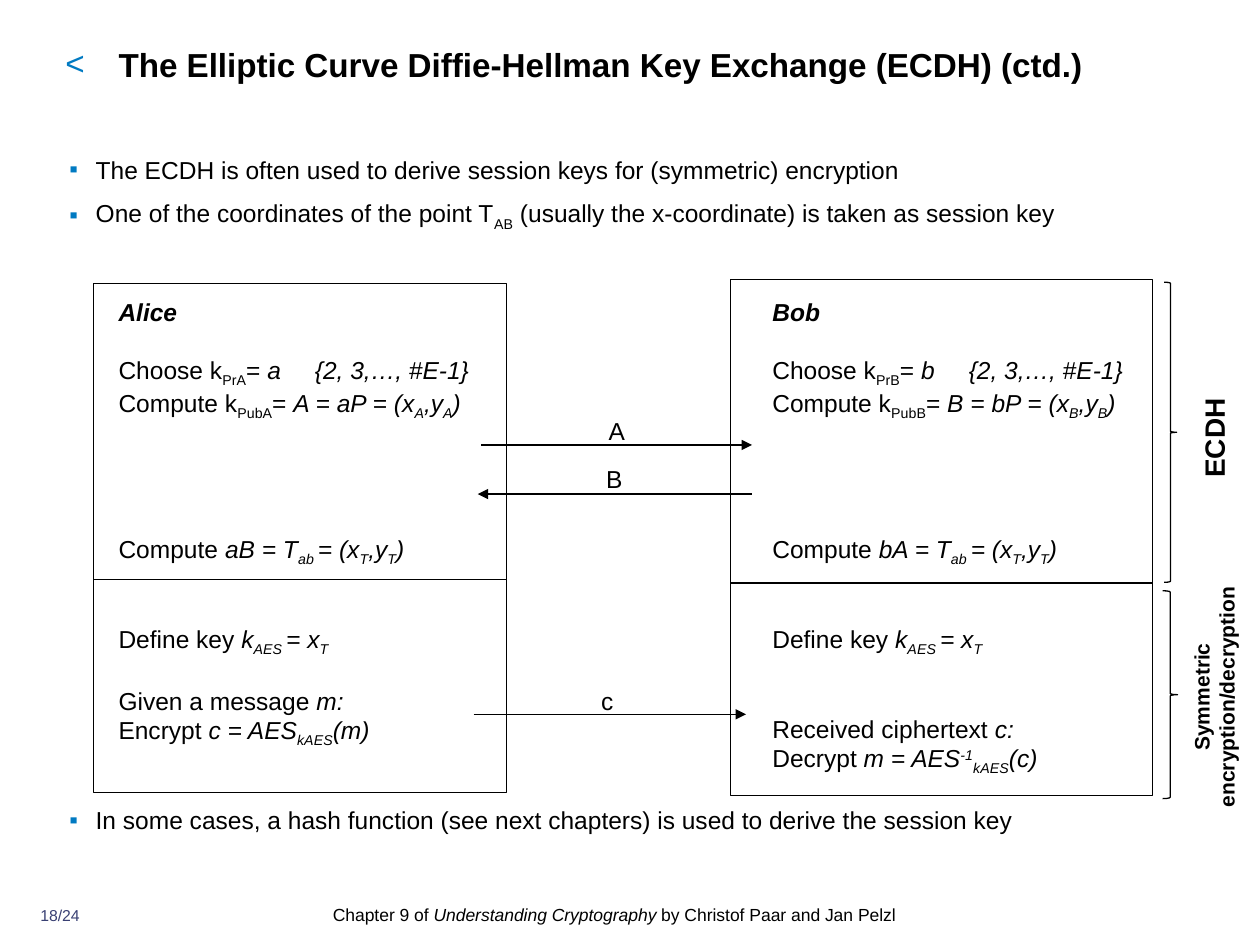
import pptx
import pptx.util
import pptx.dml.color
import pptx.enum.shapes
import pptx.enum.text
import pptx.oxml
import lxml.etree

Cm = pptx.util.Cm
Pt = pptx.util.Pt
A = "{http://schemas.openxmlformats.org/drawingml/2006/main}"
SHAPE = pptx.enum.shapes.MSO_SHAPE
CENTER = pptx.enum.text.PP_ALIGN.CENTER
BASELINE = {"_": "-25000", "^": "30000"}


def rgb(hex_color):
    return pptx.dml.color.RGBColor.from_string(hex_color)


def text(box, paras, size, color="000000", bullet=None, indent=0, rotation=0, **common):
    """Each paragraph is (format, runs); a run is (text, marks: b, i, _ sub, ^ super)."""
    sp = s.shapes.add_textbox(*[Cm(v) for v in box])
    sp.rotation = rotation
    tf = sp.text_frame
    margins = dict.fromkeys(("margin_left", "margin_top", "margin_right", "margin_bottom"), 0)
    for name, value in {**margins, "word_wrap": True}.items():
        setattr(tf, name, value)
    for n, (fmt, runs) in enumerate(paras):
        p = tf.add_paragraph() if n else tf.paragraphs[0]
        for name, value in {**common, **fmt}.items():
            setattr(p, name, value)
        pPr = p._p.get_or_add_pPr()
        if bullet:
            pPr.set("marL", str(Cm(indent)))
            pPr.set("indent", str(-Cm(indent)))
            clr = lxml.etree.SubElement(pPr, A + "buClr")
            lxml.etree.SubElement(clr, A + "srgbClr", val="007AC2")
            lxml.etree.SubElement(pPr, A + "buFont", typeface="Arial")
            lxml.etree.SubElement(pPr, A + "buChar", char=bullet)
        if any("\t" in t for t, marks in runs):
            tabs = lxml.etree.SubElement(pPr, A + "tabLst")
            lxml.etree.SubElement(tabs, A + "tab", pos=str(Cm(3.96)), algn="l")
        for t, marks in runs:
            r = p.add_run()
            r.text = t
            font = {"name": "Arial", "size": Pt(size), "bold": "b" in marks, "italic": "i" in marks}
            for name, value in font.items():
                setattr(r.font, name, value)
            r.font.color.rgb = rgb(color)
            for mark in BASELINE:
                if mark in marks:
                    r._r.get_or_add_rPr().set("baseline", BASELINE[mark])


prs = pptx.Presentation()
prs.slide_width, prs.slide_height = Cm(25.4), Cm(19.05)
s = prs.slides.add_slide(prs.slide_layouts[6])

# Title
text((1.32, 0.89, 22.91, 1.68),
     [({}, [("The Elliptic Curve Diffie-Hellman Key Exchange (ECDH) (ctd.)", "b")])],
     19, bullet="<", indent=1.07)

# Bullets above and below the protocol diagram
text((1.4, 2.97, 21.23, 14.1), [
    ({}, [("The ECDH is often used to derive session keys for (symmetric) encryption", "")]),
    ({"space_before": Pt(3.5)}, [("One of the coordinates of the point T", ""), ("AB", "_"),
                                 (" (usually the x-coordinate) is taken as session key", "")]),
    ({"space_before": Pt(323.5)},
     [("In some cases, a hash function (see next chapters) is used to derive the session key", "")]),
], 14, bullet="▪", indent=0.53, line_spacing=1.25)

# Frames of both parties and braces of both phases
RECT, BRACE = SHAPE.RECTANGLE, SHAPE.RIGHT_BRACE
for kind, *box in [
    (RECT, 1.88, 5.72, 8.33, 5.97), (RECT, 1.88, 11.68, 8.33, 4.3),
    (RECT, 14.73, 5.64, 8.51, 6.12), (RECT, 14.73, 11.74, 8.51, 4.3),
    (BRACE, 23.47, 5.69, 0.25, 6.05), (BRACE, 23.44, 11.91, 0.3, 4.19),
]:
    sp = s.shapes.add_shape(kind, *[Cm(v) for v in box])
    sp.shadow.inherit = False
    sp.fill.background()
    sp.line.color.rgb = rgb("000000")
    sp.line.width = Pt(0.75)
    if kind == BRACE:
        sp.adjustments[0] = 0.083

# Steps of both parties; gaps are counted in text lines
parties = [
    (2.39, "Alice", "A", "B", 1, [("Given a message", ""), (" m:", "i")],
     [("Encrypt", ""), (" c = AES", "i"), ("kAES", "i_"), ("(m)", "i")]),
    (15.57, "Bob", "B", "A", 2, [("Received ciphertext", ""), (" c:", "i")],
     [("Decrypt", ""), (" m = AES", "i"), ("-1", "i^"), ("kAES", "i_"), ("(c)", "i")]),
]
for x, name, own, other, gap, message, cipher in parties:
    key = own.lower()
    steps = [
        (0, [(name, "bi")]),
        (1, [("Choose k", ""), ("Pr" + own, "_"), ("= ", ""), (key + "\t{2, 3,…, #E-1}", "i")]),
        (0, [("Compute k", ""), ("Pub" + own, "_"), ("= ", ""), (f"{own} = {key}P = (x", "i"),
             (own, "i_"), (",y", "i"), (own, "i_"), (")", "i")]),
        (4, [("Compute ", ""), (f"{key}{other} = T", "i"), ("ab ", "i_"), ("= (x", "i"),
             ("T", "i_"), (",y", "i"), ("T", "i_"), (")", "i")]),
        (2, [("Define key", ""), (" k", "i"), ("AES ", "i_"), ("= x", "i"), ("T", "i_")]),
        (gap, message),
        (0, cipher),
    ]
    text((x, 5.99, 7.6, 10), [({"space_before": Pt(16.1 * n)}, runs) for n, runs in steps], 14)

# Messages: label, label position, arrow ends and the end with the arrowhead
for label, x, top, x1, x2, y, end in [
    ("A", 12.27, 8.38, 9.7, 15.16, 8.97, "tailEnd"),
    ("B", 12.22, 9.35, 9.63, 15.16, 9.96, "headEnd"),
    ("c", 12.12, 13.82, 9.55, 15.04, 14.4, "tailEnd"),
]:
    c = s.shapes.add_connector(pptx.enum.shapes.MSO_CONNECTOR.STRAIGHT, Cm(x1), Cm(y), Cm(x2), Cm(y))
    c.line.color.rgb = rgb("000000")
    c.line.width = Pt(0.75)
    lxml.etree.SubElement(c.line._get_or_add_ln(), A + end, type="triangle")
    lxml.etree.SubElement(c._element.spPr, A + "effectLst")
    text((x, top, 0.6, 0.58), [({}, [(label, "")])], 14)

# Phase names along the braces
text((23.37, 8.18, 2.21, 0.69), [({}, [("ECDH", "b")])], 16, rotation=270)
text((22.07, 13.54, 4.8, 1.02),
     [({}, [(t, "b")]) for t in ("Symmetric", "encryption/decryption")],
     12, rotation=270, alignment=CENTER)

# Footer and page number
text((6.71, 18.14, 12.01, 0.71),
     [({}, [("Chapter 9 of ", ""), ("Understanding Cryptography", "i"),
            (" by Christof Paar and Jan Pelzl", "")])], 10, line_spacing=1.2)
text((0.51, 18.26, 1.4, 0.61), [({}, [("18/24", "")])], 9, "394073", alignment=CENTER)

prs.save("out.pptx")
